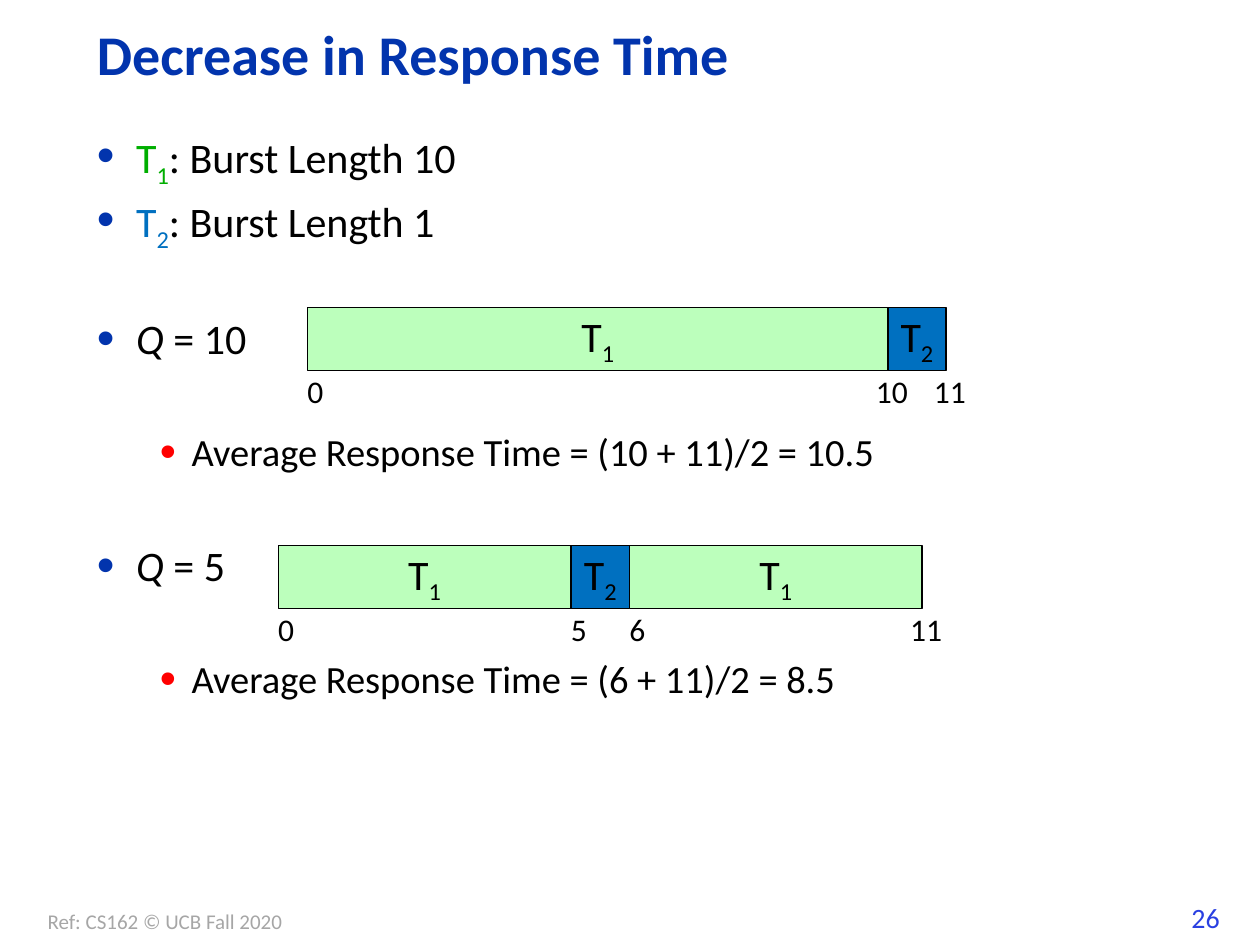
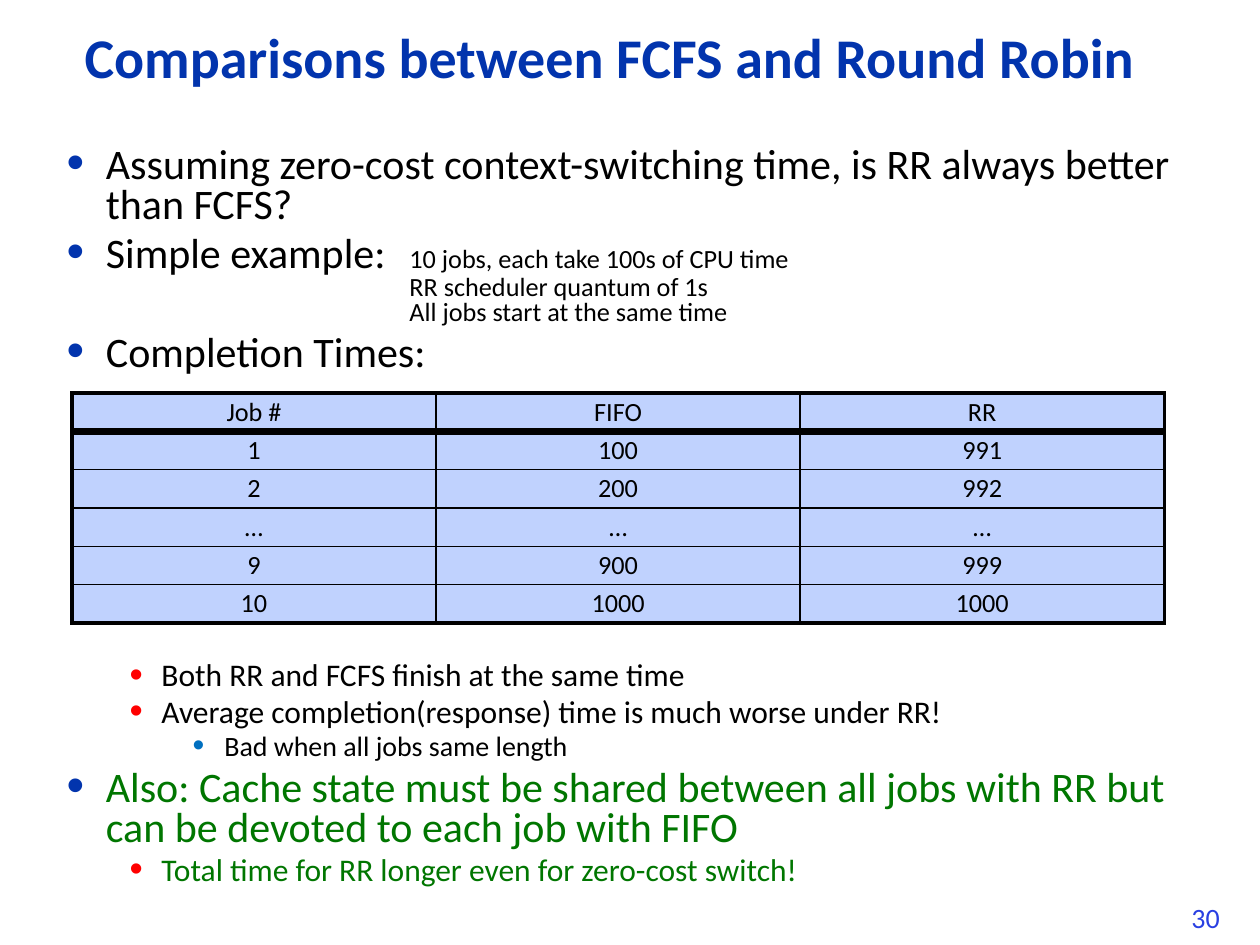
from copy import deepcopy
from dataclasses import dataclass

from lxml import etree
from pptx import Presentation
from pptx.dml.color import RGBColor
from pptx.enum.shapes import MSO_SHAPE
from pptx.enum.text import MSO_ANCHOR, MSO_AUTO_SIZE, PP_ALIGN
from pptx.oxml.ns import qn
from pptx.util import Cm, Pt

LEFT, CENTER = PP_ALIGN.LEFT, PP_ALIGN.CENTER
TOP, MIDDLE = MSO_ANCHOR.TOP, MSO_ANCHOR.MIDDLE
NO_AUTOFIT = MSO_AUTO_SIZE.NONE
RECTANGLE = MSO_SHAPE.RECTANGLE

FONT = "Calibri"
BLACK = "000000"
NAVY = "0234AD"
NUMBER_BLUE = "2A40E2"
REFERENCE_GRAY = "A6A6A6"
JOB1_TEXT = "00AE00"
JOB1_FILL = "BCFFBC"
JOB2_BLUE = "0070C0"
NOTE_GREEN = "007600"
TABLE_FILL = "C0D2FE"


@dataclass(frozen=True)
class Box:
    """Left, top, width and height in centimetres."""
    left: float
    top: float
    width: float
    height: float

    def lengths(self) -> tuple:
        return Cm(self.left), Cm(self.top), Cm(self.width), Cm(self.height)


@dataclass(frozen=True)
class Piece:
    text: str
    size: float = 24
    color: str = BLACK
    bold: bool = False
    italic: bool = False
    subscript: bool = False


@dataclass(frozen=True)
class Bullet:
    pieces: tuple
    level: int = 0
    before: float = 0


@dataclass(frozen=True)
class LevelStyle:
    margin: float
    hanging: float
    color: str


@dataclass(frozen=True)
class Timeline:
    """Bursts are (job, length) pairs drawn one after another."""
    left: float
    top: float
    unit: float
    bursts: tuple


LEVELS = (
    LevelStyle(0.79, 0.79, NAVY),
    LevelStyle(1.91, 0.64, "FF0000"),
    LevelStyle(3.18, 0.64, JOB2_BLUE),
)

BAR_HEIGHT = 1.27
LABEL_DROP = 1.17
LABEL_WIDTH = 1.5
JOB_FILLS = {1: JOB1_FILL, 2: JOB2_BLUE}
TIMELINES = (
    Timeline(6.2, 6.2, 1.17, ((1, 10), (2, 1))),
    Timeline(5.61, 11.0, 1.18, ((1, 5), (2, 1), (1, 5))),
)

RESPONSE_GAP = 40
RESPONSE_BULLETS = (
    Bullet((Piece("T", color=JOB1_TEXT), Piece("1", color=JOB1_TEXT, subscript=True),
            Piece(": Burst Length 10"))),
    Bullet((Piece("T", color=JOB2_BLUE), Piece("2", color=JOB2_BLUE, subscript=True),
            Piece(": Burst Length 1")), before=7.2),
    Bullet((Piece("Q", italic=True), Piece(" = 10")), before=RESPONSE_GAP),
    Bullet((Piece("Average Response Time = (10 + 11)/2 = 10.5", 22),), 1, RESPONSE_GAP),
    Bullet((Piece("Q", italic=True), Piece(" = 5")), before=RESPONSE_GAP),
    Bullet((Piece("Average Response Time = (6 + 11)/2 = 8.5", 22),), 1, RESPONSE_GAP),
)

TABLE_GAP = 164
COMPARISON_BULLETS = (
    Bullet((Piece("Assuming zero-cost context-switching time, "
                  "is RR always better than FCFS?"),)),
    Bullet((Piece("Simple example:"),
            Piece(" \t10 jobs, each take 100s of CPU time\n"
                  "\tRR scheduler quantum of 1s\n"
                  "\tAll jobs start at the same time", 15)), before=4.8),
    Bullet((Piece("Completion Times:"),), before=4.8),
    Bullet((Piece("Both RR and FCFS finish at the same time", 18),), 1, TABLE_GAP),
    Bullet((Piece("Average completion(response) time is much worse under RR!", 18),),
           1, 3.6),
    Bullet((Piece("Bad when all jobs same length", 16),), 2, 3.2),
    Bullet((Piece("Also: Cache state must be shared between all jobs with RR but "
                  "can be devoted to each job with FIFO", color=NOTE_GREEN),), before=4.8),
    Bullet((Piece("Total time for RR longer even for zero-cost switch!", 18, NOTE_GREEN),),
           1, 3.6),
)

COMPLETION_TIMES = (
    ("Job #", "FIFO", "RR"),
    ("1", "100", "991"),
    ("2", "200", "992"),
    ("…", "…", "…"),
    ("9", "900", "999"),
    ("10", "1000", "1000"),
)
COLUMN_WIDTH = 7.34
ROW_HEIGHT = 0.77
OUTER_LINE, HEADER_LINE, INNER_LINE = 2.25, 4.5, 1


def rgb(color: str) -> RGBColor:
    return RGBColor.from_string(color)


def add_piece(paragraph, piece: Piece) -> None:
    """Add the piece as runs, one for each line of its text."""
    for index, line in enumerate(piece.text.split("\n")):
        if index:
            paragraph.add_line_break()
            line_break = paragraph._p[-1]
        run = paragraph.add_run()
        run.text = line
        font = run.font
        font.name, font.size = FONT, Pt(piece.size)
        font.bold, font.italic = piece.bold, piece.italic
        font.color.rgb = rgb(piece.color)
        if piece.subscript:
            run._r.get_or_add_rPr().set("baseline", "-25000")
        if index:
            line_break.append(deepcopy(run._r.rPr))


def add_label(slide, box: Box, piece: Piece, anchor=TOP, alignment=LEFT) -> None:
    frame = slide.shapes.add_textbox(*box.lengths()).text_frame
    frame.word_wrap = False
    frame.vertical_anchor = anchor
    frame.paragraphs[0].alignment = alignment
    add_piece(frame.paragraphs[0], piece)


def place(shape, box: Box, anchor):
    """Move a placeholder and return its text frame."""
    shape.left, shape.top, shape.width, shape.height = box.lengths()
    frame = shape.text_frame
    frame.auto_size = NO_AUTOFIT
    frame.word_wrap = True
    frame.vertical_anchor = anchor
    return frame


def set_bullet(paragraph, style: LevelStyle, tab: float | None) -> None:
    properties = paragraph._p.get_or_add_pPr()
    properties.set("marL", str(Cm(style.margin)))
    properties.set("indent", str(-Cm(style.hanging)))
    color = etree.SubElement(properties, qn("a:buClr"))
    etree.SubElement(color, qn("a:srgbClr"), val=style.color)
    etree.SubElement(properties, qn("a:buSzPct"), val="120000")
    etree.SubElement(properties, qn("a:buChar"), char="•")
    if tab is not None:
        tabs = etree.SubElement(properties, qn("a:tabLst"))
        etree.SubElement(tabs, qn("a:tab"), pos=str(Cm(tab)), algn="l")


def fill_body(shape, box: Box, bullets: tuple, spacing: float,
              tab: float | None = None) -> None:
    frame = place(shape, box, TOP)
    for index, bullet in enumerate(bullets):
        paragraph = frame.add_paragraph() if index else frame.paragraphs[0]
        paragraph.level = bullet.level
        set_bullet(paragraph, LEVELS[bullet.level], tab)
        paragraph.alignment = LEFT
        paragraph.line_spacing = spacing
        paragraph.space_before = Pt(bullet.before)
        for piece in bullet.pieces:
            add_piece(paragraph, piece)


def add_titled_slide(presentation, title: str, box: Box, number: int):
    slide = presentation.slides.add_slide(presentation.slide_layouts[1])
    paragraph = place(slide.shapes.title, box, MIDDLE).paragraphs[0]
    paragraph.alignment = LEFT
    paragraph.line_spacing = 0.9
    add_piece(paragraph, Piece(title, 32, NAVY, bold=True))
    add_label(slide, Box(23.77, 18.03, 1.17, 0.94), Piece(str(number), 16, NUMBER_BLUE))
    return slide


def add_burst(slide, box: Box, job: int) -> None:
    shape = slide.shapes.add_shape(RECTANGLE, *box.lengths())
    shape.shadow.inherit = False
    shape.fill.solid()
    shape.fill.fore_color.rgb = rgb(JOB_FILLS[job])
    shape.line.color.rgb = rgb(BLACK)
    shape.line.width = Pt(0.75)
    frame = shape.text_frame
    frame.word_wrap = False
    frame.vertical_anchor = MIDDLE
    paragraph = frame.paragraphs[0]
    paragraph.alignment = CENTER
    add_piece(paragraph, Piece("T"))
    add_piece(paragraph, Piece(str(job), subscript=True))


def add_timeline(slide, timeline: Timeline) -> None:
    times = [0]
    for job, length in timeline.bursts:
        left = timeline.left + times[-1] * timeline.unit
        add_burst(slide, Box(left, timeline.top, length * timeline.unit, BAR_HEIGHT), job)
        times.append(times[-1] + length)
    for time in times:
        shift = 0.16 if time < 10 else 0.08
        center = timeline.left + time * timeline.unit + shift
        box = Box(center - LABEL_WIDTH / 2, timeline.top + LABEL_DROP, LABEL_WIDTH, 1.02)
        add_label(slide, box, Piece(str(time), 18), MIDDLE, CENTER)


def set_borders(cell, widths: dict) -> None:
    properties = cell._tc.get_or_add_tcPr()
    for index, (side, width) in enumerate(widths.items()):
        line = etree.Element(qn(f"a:{side}"), w=str(Pt(width)))
        fill = etree.SubElement(line, qn("a:solidFill"))
        etree.SubElement(fill, qn("a:srgbClr"), val=BLACK)
        properties.insert(index, line)


def add_completion_table(slide) -> None:
    rows, columns = len(COMPLETION_TIMES), len(COMPLETION_TIMES[0])
    box = Box(1.45, 7.92, columns * COLUMN_WIDTH, rows * ROW_HEIGHT)
    table = slide.shapes.add_table(rows, columns, *box.lengths()).table
    table.first_row = table.horz_banding = False
    for column in table.columns:
        column.width = Cm(COLUMN_WIDTH)
    horizontal = [OUTER_LINE, HEADER_LINE] + [INNER_LINE] * (rows - 2) + [OUTER_LINE]
    vertical = [OUTER_LINE] + [INNER_LINE] * (columns - 1) + [OUTER_LINE]
    for row, values in enumerate(COMPLETION_TIMES):
        table.rows[row].height = Cm(ROW_HEIGHT)
        for column, value in enumerate(values):
            cell = table.cell(row, column)
            cell.fill.solid()
            cell.fill.fore_color.rgb = rgb(TABLE_FILL)
            cell.vertical_anchor = MIDDLE
            cell.margin_left = cell.margin_right = Cm(0.53)
            cell.margin_top = cell.margin_bottom = Cm(0.1)
            paragraph = cell.text_frame.paragraphs[0]
            paragraph.alignment = CENTER
            paragraph.line_spacing = 0.9
            add_piece(paragraph, Piece(value, 15))
            set_borders(cell, {"lnL": vertical[column], "lnR": vertical[column + 1],
                               "lnT": horizontal[row], "lnB": horizontal[row + 1]})


def build_response_slide(presentation) -> None:
    slide = add_titled_slide(presentation, "Decrease in Response Time",
                             Box(1.7, 0.43, 19.89, 1.47), 26)
    fill_body(slide.placeholders[1], Box(1.7, 2.54, 22.02, 14.17), RESPONSE_BULLETS, 0.9)
    for timeline in TIMELINES:
        add_timeline(slide, timeline)
    add_label(slide, Box(0.71, 18.19, 5.31, 0.76),
              Piece("Ref: CS162 © UCB Fall 2020", 12, REFERENCE_GRAY))


def build_comparison_slide(presentation) -> None:
    slide = add_titled_slide(presentation, "Comparisons between FCFS and Round Robin",
                             Box(1.45, 0.48, 23.5, 1.47), 30)
    fill_body(slide.placeholders[1], Box(1.09, 2.84, 23.65, 15.67),
              COMPARISON_BULLETS, 0.8, tab=6.91)
    add_completion_table(slide)


def main() -> None:
    presentation = Presentation()
    presentation.slide_width, presentation.slide_height = Cm(25.4), Cm(19.05)
    build_response_slide(presentation)
    build_comparison_slide(presentation)
    presentation.save("out.pptx")


if __name__ == "__main__":
    main()
